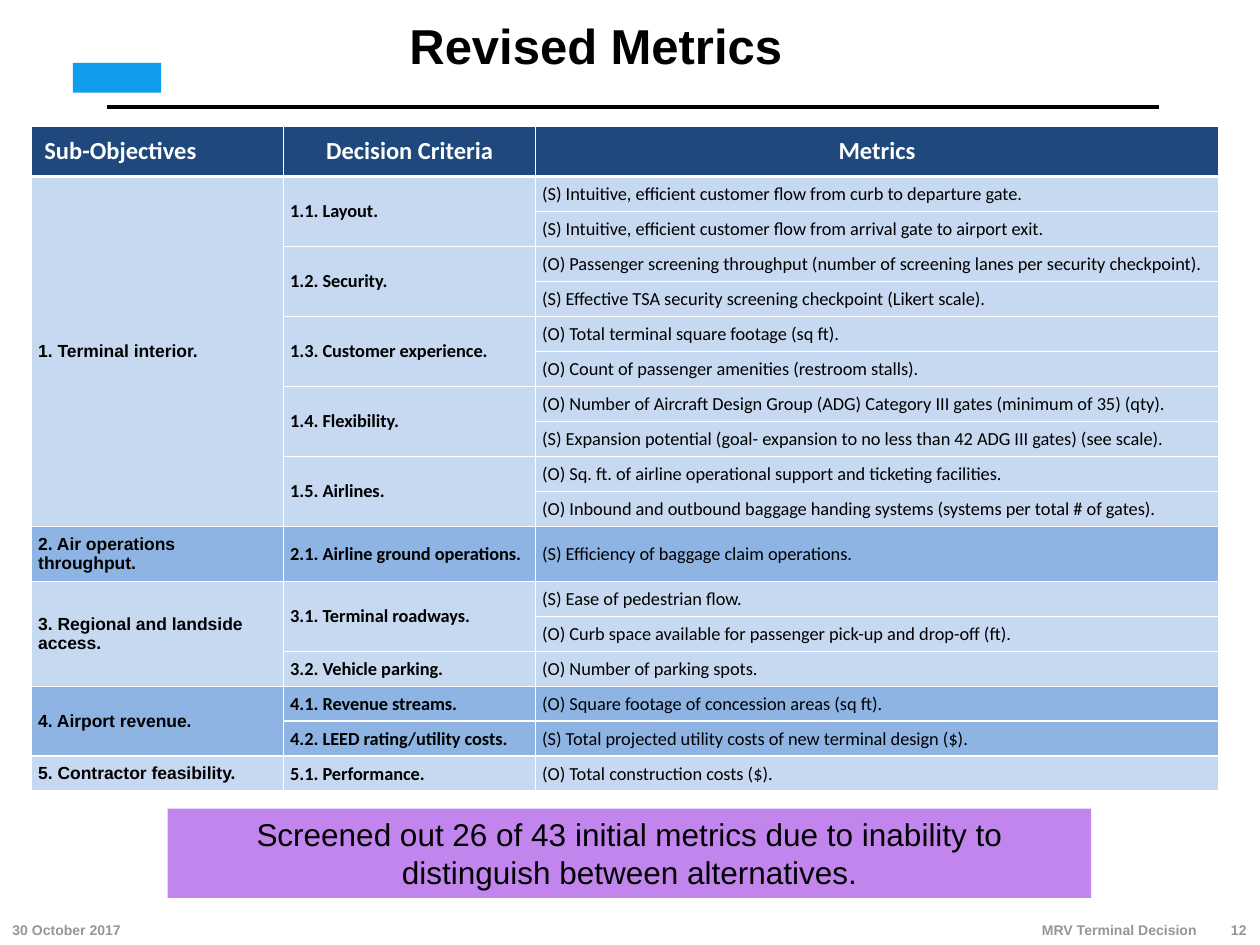
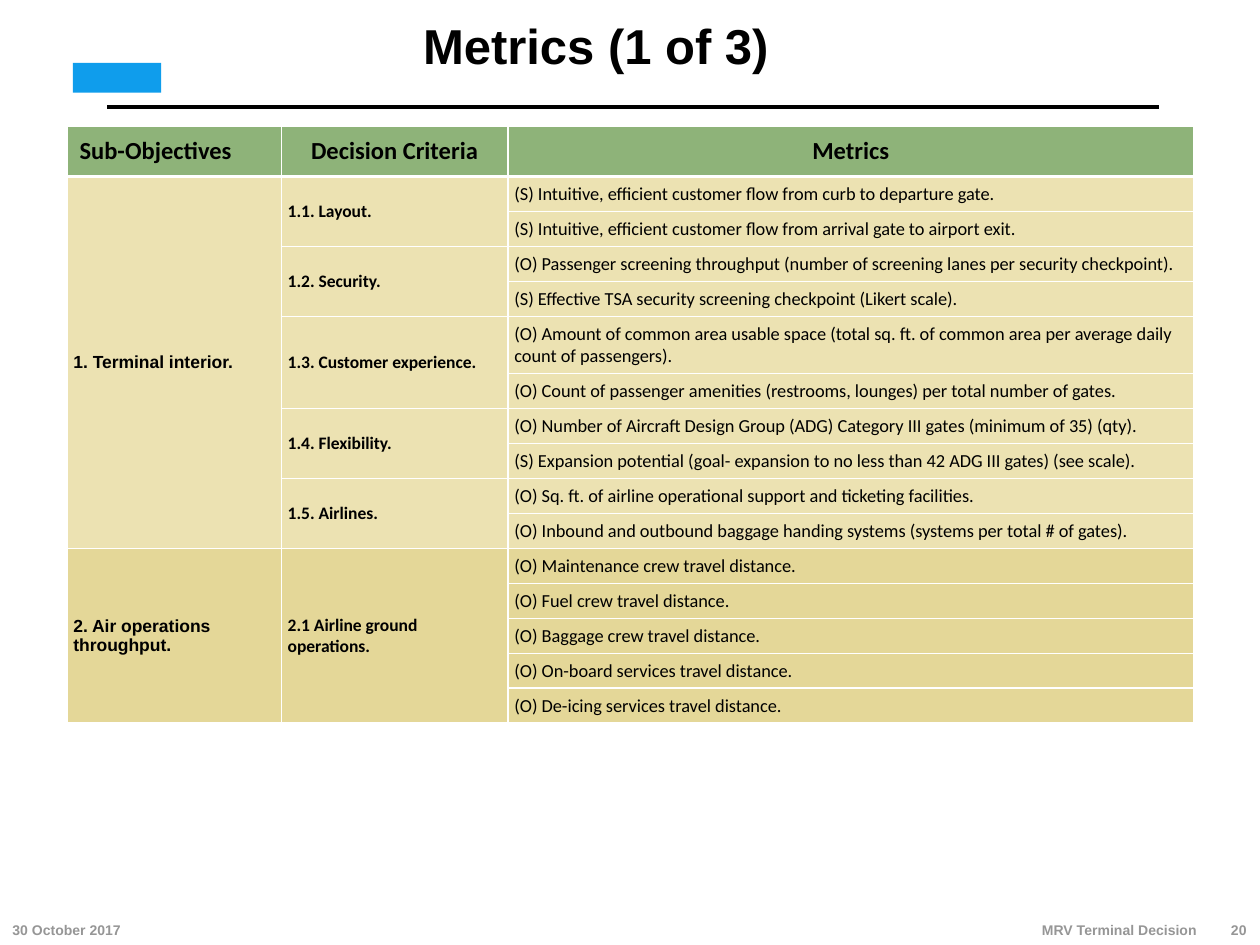
import pptx
import pptx.util
import pptx.dml.color
import pptx.enum.shapes
import pptx.enum.text
import pptx.oxml
import pptx.oxml.ns
import lxml.etree

Cm = pptx.util.Cm
Pt = pptx.util.Pt
ALIGN = pptx.enum.text.PP_ALIGN
ANCHOR = pptx.enum.text.MSO_ANCHOR
qn = pptx.oxml.ns.qn

COLORS = {
    "black": "000000",
    "white": "FFFFFF",
    "footer": "969696",
    "badge": "0F9DEC",
    "callout": "C285ED",
    "navy": "1F497D",
    "pale_blue": "C6D9F1",
    "mid_blue": "8EB4E3",
    "green": "8EB379",
    "pale_sand": "ECE2B2",
    "sand": "E4D798",
}
BLUE_THEME = {"header": "navy", "header_text": "white", "bands": ("pale_blue", "mid_blue"), "criteria_size": 10.5}
SAND_THEME = {"header": "green", "header_text": "black", "bands": ("pale_sand", "sand"), "criteria_size": 10}

HEADERS = ("Sub-Objectives", "Decision Criteria", "Metrics")
HEADER_HEIGHT = 1.02
ROW_HEIGHT = 0.7
CELL_INSET = 0.13


def terminal_interior(customer_metrics):
    return ("1. Terminal interior.", [
        ("1.1. Layout.", [
            "(S) Intuitive, efficient customer flow from curb to departure gate.",
            "(S) Intuitive, efficient customer flow from arrival gate to airport exit."]),
        ("1.2. Security.", [
            "(O) Passenger screening throughput (number of screening lanes per security checkpoint).",
            "(S) Effective TSA security screening checkpoint (Likert scale)."]),
        ("1.3. Customer experience.", customer_metrics),
        ("1.4. Flexibility.", [
            "(O) Number of Aircraft Design Group (ADG) Category III gates (minimum of 35) (qty).",
            "(S) Expansion potential (goal- expansion to no less than 42 ADG III gates) (see scale)."]),
        ("1.5. Airlines.", [
            "(O) Sq. ft. of airline operational support and ticketing facilities.",
            "(O) Inbound and outbound baggage handing systems (systems per total # of gates)."]),
    ])


REVISED_METRICS = [
    terminal_interior([
        "(O) Total terminal square footage (sq ft).",
        "(O) Count of passenger amenities (restroom stalls)."]),
    ("2. Air operations throughput.", [
        ("2.1. Airline ground operations.", ["(S) Efficiency of baggage claim operations."])]),
    ("3. Regional and landside access.", [
        ("3.1. Terminal roadways.", [
            "(S) Ease of pedestrian flow.",
            "(O) Curb space available for passenger pick-up and drop-off (ft)."]),
        ("3.2. Vehicle parking.", ["(O) Number of parking spots."])]),
    ("4. Airport revenue.", [
        ("4.1. Revenue streams.", ["(O) Square footage of concession areas (sq ft)."]),
        ("4.2. LEED rating/utility costs.", ["(S) Total projected utility costs of new terminal design ($)."])]),
    ("5. Contractor feasibility.", [
        ("5.1. Performance.", ["(O) Total construction costs ($)."])]),
]
INITIAL_METRICS = [
    terminal_interior([
        "(O) Amount of common area usable space (total sq. ft. of common area per average daily count of passengers).",
        "(O) Count of passenger amenities (restrooms, lounges) per total number of gates."]),
    ("2. Air operations throughput.", [
        ("2.1 Airline ground operations.", [
            f"(O) {subject} travel distance." for subject in
            ("Maintenance crew", "Fuel crew", "Baggage crew", "On-board services", "De-icing services")])]),
]


def rgb(name):
    return pptx.dml.color.RGBColor.from_string(COLORS[name])


def write(tf, text, size, color="black", bold=False, font="Arial", align=ALIGN.LEFT):
    tf.text = text
    p = tf.paragraphs[0]
    p.alignment = align
    f = p.runs[0].font
    f.name, f.size, f.bold = font, Pt(size), bold
    f.color.rgb = rgb(color)
    return p


def add_text(s, box, text, size, anchor=ANCHOR.TOP, **style):
    tf = s.shapes.add_textbox(*map(Cm, box)).text_frame
    tf.word_wrap = True
    tf.vertical_anchor = anchor
    return write(tf, text, size, **style)


def add_rule(s, left, right, y, color, width):
    ln = s.shapes.add_connector(pptx.enum.shapes.MSO_CONNECTOR.STRAIGHT, Cm(left), Cm(y), Cm(right), Cm(y))
    ln.line.color.rgb = rgb(color)
    ln.line.width = Pt(width)
    lxml.etree.SubElement(ln._element.spPr, qn("a:effectLst"))


def add_box(s, box, fill):
    sp = s.shapes.add_shape(pptx.enum.shapes.MSO_SHAPE.RECTANGLE, *map(Cm, box))
    sp.shadow.inherit = False
    sp.fill.solid()
    sp.fill.fore_color.rgb = rgb(fill)
    sp.line.fill.background()
    return sp


def add_header(s, title):
    add_rule(s, 2.16, 23.37, 2.16, "black", 2.5)
    add_box(s, (1.47, 1.27, 1.78, 0.6), "badge")
    p = add_text(s, (1.85, 0, 20.32, 1.98), title, 28, anchor=ANCHOR.MIDDLE, bold=True, align=ALIGN.CENTER)
    p.line_spacing = 0.9


def add_footer(s, number):
    parts = (
        (0, 5.08, "30 October 2017", ALIGN.LEFT),
        (24.36, 1.02, str(number), ALIGN.RIGHT),
        (16.76, 7.62, "MRV Terminal Decision", ALIGN.RIGHT),
    )
    for left, width, text, align in parts:
        add_text(s, (left, 18.41, width, 0.64), text, 8, anchor=ANCHOR.BOTTOM,
                 color="footer", bold=True, align=align)


def set_borders(cell, top=1, bottom=1):
    tcPr = cell._tc.get_or_add_tcPr()
    widths = (("L", 1), ("R", 1), ("T", top), ("B", bottom))
    for i, (side, width) in enumerate(widths):
        ln = pptx.oxml.parse_xml(
            f'<a:ln{side} xmlns:a="http://schemas.openxmlformats.org/drawingml/2006/main" w="{Pt(width)}">'
            f'<a:solidFill><a:srgbClr val="{COLORS["white"]}"/></a:solidFill></a:ln{side}>')
        tcPr.insert(i, ln)


def fill_cell(cell, fill):
    cell.fill.solid()
    cell.fill.fore_color.rgb = rgb(fill)
    cell.vertical_anchor = ANCHOR.MIDDLE


def write_block(table, top, col, span, text, size, **style):
    cell = table.cell(top, col)
    if span > 1:
        cell.merge(table.cell(top + span - 1, col))
    write(cell.text_frame, text, size, **style)


def add_metrics_table(s, left, top, widths, groups, theme):
    count = sum(len(metrics) for _, criteria in groups for _, metrics in criteria)
    frame = s.shapes.add_table(count + 1, len(widths), Cm(left), Cm(top), Cm(sum(widths)),
                               Cm(HEADER_HEIGHT + count * ROW_HEIGHT))
    table = frame.table
    table.horz_banding = False
    for column, width in zip(table.columns, widths):
        column.width = Cm(width)
    for i, row in enumerate(table.rows):
        row.height = Cm(ROW_HEIGHT if i else HEADER_HEIGHT)

    for col, text in enumerate(HEADERS):
        cell = table.cell(0, col)
        fill_cell(cell, theme["header"])
        set_borders(cell, bottom=2.25)
        write(cell.text_frame, text, 14, color=theme["header_text"], bold=True, font="Calibri",
              align=ALIGN.CENTER if col else ALIGN.LEFT)

    row = 1
    for g, (objective, criteria) in enumerate(groups):
        start = row
        span = sum(len(metrics) for _, metrics in criteria)
        for r in range(start, start + span):
            for col in range(len(widths)):
                cell = table.cell(r, col)
                fill_cell(cell, theme["bands"][g % 2])
                set_borders(cell, top=2.25 if r == 1 else 1)
                cell.margin_left = cell.margin_right = Cm(CELL_INSET)
                cell.margin_top = cell.margin_bottom = Cm(CELL_INSET)
        write_block(table, start, 0, span, objective, 10, bold=True)
        for criterion, metrics in criteria:
            write_block(table, row, 1, len(metrics), criterion, theme["criteria_size"], bold=True, font="Calibri")
            for metric in metrics:
                write_block(table, row, 2, 1, metric, 10.5, font="Calibri")
                row += 1


def add_callout(s, box, text):
    tf = add_box(s, box, "callout").text_frame
    tf.word_wrap = True
    tf.vertical_anchor = ANCHOR.TOP
    write(tf, text, 18, align=ALIGN.CENTER)


def add_metrics_slide(prs, title, number, left, widths, groups, theme):
    s = prs.slides.add_slide(prs.slide_layouts[6])
    add_header(s, title)
    add_footer(s, number)
    add_metrics_table(s, left, 2.54, widths, groups, theme)
    return s


def main():
    prs = pptx.Presentation()
    prs.slide_width, prs.slide_height = Cm(25.4), Cm(19.05)
    s = add_metrics_slide(prs, "Revised Metrics", 12, 0.64, (5.08, 5.08, 13.76), REVISED_METRICS, BLUE_THEME)
    add_callout(s, (3.38, 16.3, 18.62, 1.8),
                "Screened out 26 of 43 initial metrics due to inability to distinguish between alternatives.")
    add_metrics_slide(prs, "Metrics (1 of 3)", 20, 1.35, (4.32, 4.57, 13.82), INITIAL_METRICS, SAND_THEME)
    prs.save("out.pptx")


if __name__ == "__main__":
    main()
